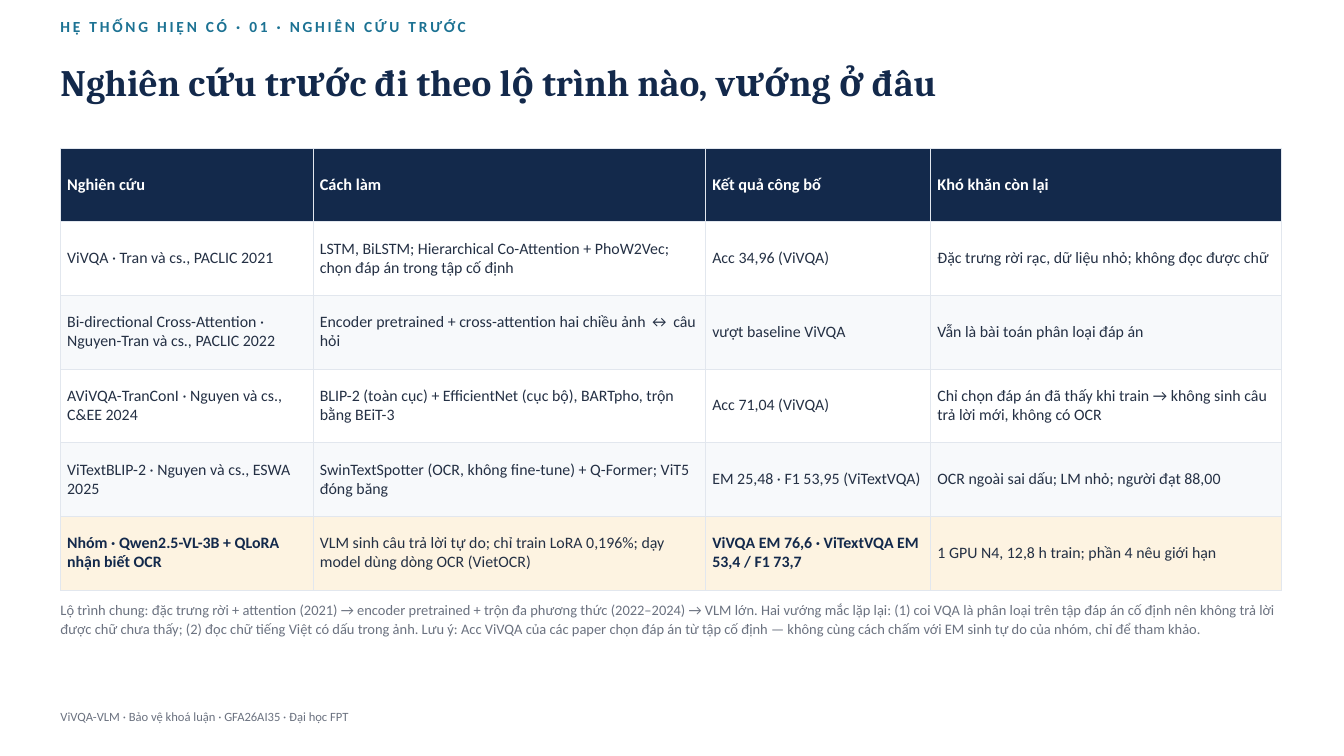
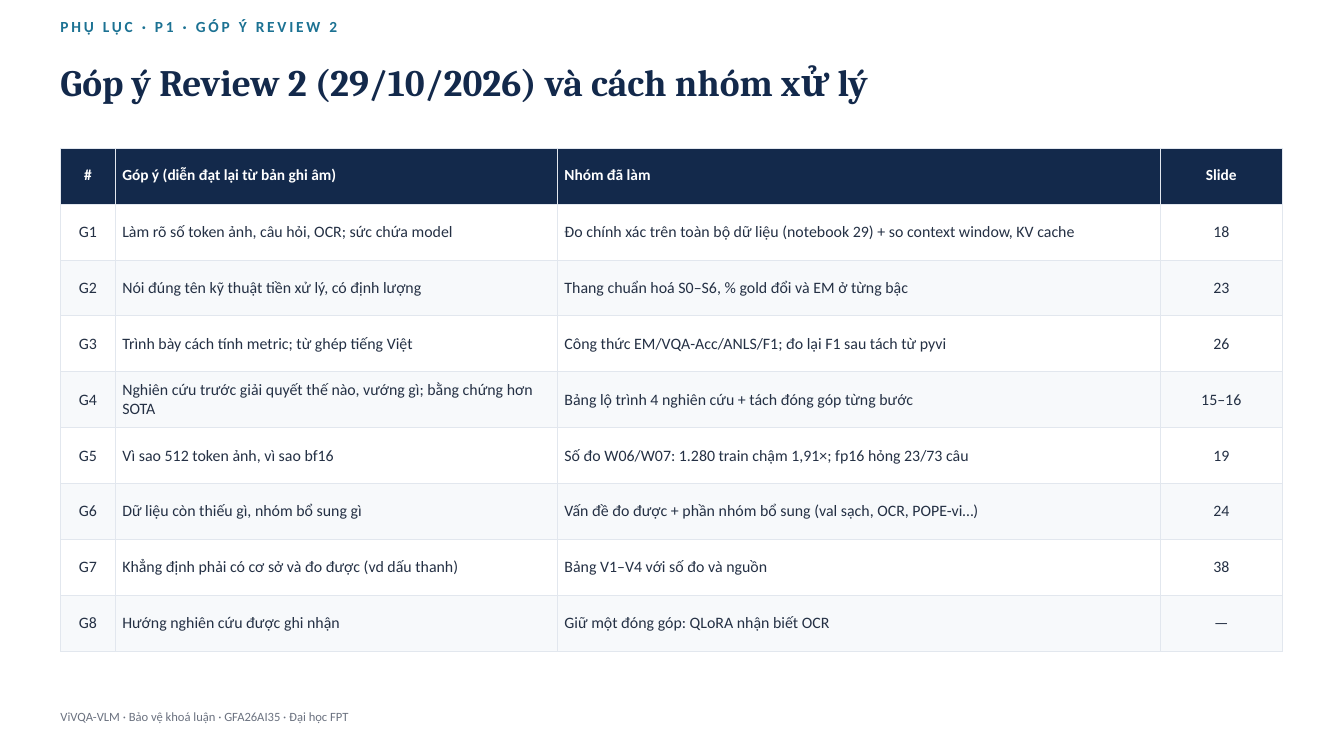
from dataclasses import dataclass

from lxml import etree
from pptx import Presentation
from pptx import util as u
from pptx.dml import color
from pptx.enum import text
from pptx.oxml import ns

# Shared look
COLORS = {
    "navy": "13294B",
    "teal": "1C7293",
    "ink": "243044",
    "muted": "6B7280",
    "white": "FFFFFF",
    "stripe": "F7F9FB",
    "highlight": "FDF3E1",
    "border": "E2E7EE",
}
BODY, SERIF = "Calibri", "Cambria"
LEFT, WIDTH = 0.9, 18.2
TABLE_TOP = 2.2
CELL_MARGIN = 0.1
FOOTER = "ViVQA-VLM · Bảo vệ khoá luận · GFA26AI35 · Đại học FPT"


@dataclass(frozen=True)
class Style:
    size: float
    color: str
    bold: bool = False
    face: str = BODY
    leading: float = 1.2  # line height as a multiple of the size
    tracking: float = 0


EYEBROW = Style(16.5, "teal", bold=True, tracking=3)
TITLE = Style(40, "navy", bold=True, face=SERIF, leading=1.44)
NOTE = Style(15.5, "muted", leading=1.34)
FOOT = Style(13.5, "muted", leading=1.34)
CELL = Style(17, "ink")
KEY_CELL = Style(17, "navy", bold=True)


@dataclass(frozen=True)
class Grid:
    columns: tuple[float, ...]
    height: float
    header_size: float
    rows: tuple[tuple[str, ...], ...]
    centered: tuple[int, ...] = ()
    highlight_last: bool = False
    key_columns: tuple[int, ...] = ()


@dataclass(frozen=True)
class Page:
    eyebrow: str
    title: str
    grid: Grid
    note: str = ""


# Content
PRIOR_WORK = Page(
    "HỆ THỐNG HIỆN CÓ · 01 · NGHIÊN CỨU TRƯỚC",
    "Nghiên cứu trước đi theo lộ trình nào, vướng ở đâu",
    Grid(
        columns=(3.76, 5.84, 3.35, 5.22),
        height=6.58,
        header_size=17.5,
        highlight_last=True,
        key_columns=(0, 2),
        rows=(
            ("Nghiên cứu", "Cách làm", "Kết quả công bố", "Khó khăn còn lại"),
            ("ViVQA · Tran và cs., PACLIC 2021",
             "LSTM, BiLSTM; Hierarchical Co-Attention + PhoW2Vec; chọn đáp án trong tập cố định",
             "Acc 34,96 (ViVQA)",
             "Đặc trưng rời rạc, dữ liệu nhỏ; không đọc được chữ"),
            ("Bi-directional Cross-Attention · Nguyen-Tran và cs., PACLIC 2022",
             "Encoder pretrained + cross-attention hai chiều ảnh ↔ câu hỏi",
             "vượt baseline ViVQA",
             "Vẫn là bài toán phân loại đáp án"),
            ("AViVQA-TranConI · Nguyen và cs., C&EE 2024",
             "BLIP-2 (toàn cục) + EfficientNet (cục bộ), BARTpho, trộn bằng BEiT-3",
             "Acc 71,04 (ViVQA)",
             "Chỉ chọn đáp án đã thấy khi train → không sinh câu trả lời mới, không có OCR"),
            ("ViTextBLIP-2 · Nguyen và cs., ESWA 2025",
             "SwinTextSpotter (OCR, không fine-tune) + Q-Former; ViT5 đóng băng",
             "EM 25,48 · F1 53,95 (ViTextVQA)",
             "OCR ngoài sai dấu; LM nhỏ; người đạt 88,00"),
            ("Nhóm · Qwen2.5-VL-3B + QLoRA nhận biết OCR",
             "VLM sinh câu trả lời tự do; chỉ train LoRA 0,196%; dạy model dùng dòng OCR (VietOCR)",
             "ViVQA EM 76,6 · ViTextVQA EM 53,4 / F1 73,7",
             "1 GPU N4, 12,8 h train; phần 4 nêu giới hạn"),
        ),
    ),
    note="Lộ trình chung: đặc trưng rời + attention (2021) → encoder pretrained + trộn đa "
         "phương thức (2022–2024) → VLM lớn. Hai vướng mắc lặp lại: (1) coi VQA là phân loại "
         "trên tập đáp án cố định nên không trả lời được chữ chưa thấy; (2) đọc chữ tiếng Việt "
         "có dấu trong ảnh. Lưu ý: Acc ViVQA của các paper chọn đáp án từ tập cố định — không "
         "cùng cách chấm với EM sinh tự do của nhóm, chỉ để tham khảo.",
)

REVIEW_FEEDBACK = Page(
    "PHỤ LỤC · P1 · GÓP Ý REVIEW 2",
    "Góp ý Review 2 (29/10/2026) và cách nhóm xử lý",
    Grid(
        columns=(0.82, 6.58, 8.97, 1.81),
        height=7.5,
        header_size=16.5,
        centered=(0, 3),
        rows=(
            ("#", "Góp ý (diễn đạt lại từ bản ghi âm)", "Nhóm đã làm", "Slide"),
            ("G1", "Làm rõ số token ảnh, câu hỏi, OCR; sức chứa model",
             "Đo chính xác trên toàn bộ dữ liệu (notebook 29) + so context window, KV cache", "18"),
            ("G2", "Nói đúng tên kỹ thuật tiền xử lý, có định lượng",
             "Thang chuẩn hoá S0–S6, % gold đổi và EM ở từng bậc", "23"),
            ("G3", "Trình bày cách tính metric; từ ghép tiếng Việt",
             "Công thức EM/VQA-Acc/ANLS/F1; đo lại F1 sau tách từ pyvi", "26"),
            ("G4", "Nghiên cứu trước giải quyết thế nào, vướng gì; bằng chứng hơn SOTA",
             "Bảng lộ trình 4 nghiên cứu + tách đóng góp từng bước", "15–16"),
            ("G5", "Vì sao 512 token ảnh, vì sao bf16",
             "Số đo W06/W07: 1.280 train chậm 1,91×; fp16 hỏng 23/73 câu", "19"),
            ("G6", "Dữ liệu còn thiếu gì, nhóm bổ sung gì",
             "Vấn đề đo được + phần nhóm bổ sung (val sạch, OCR, POPE-vi…)", "24"),
            ("G7", "Khẳng định phải có cơ sở và đo được (vd dấu thanh)",
             "Bảng V1–V4 với số đo và nguồn", "38"),
            ("G8", "Hướng nghiên cứu được ghi nhận",
             "Giữ một đóng góp: QLoRA nhận biết OCR", "—"),
        ),
    ),
)


# Drawing helpers
def rgb(name: str) -> color.RGBColor:
    return color.RGBColor.from_string(COLORS[name])


def write(frame, words: str, style: Style, centered: bool = False) -> None:
    """Put one styled paragraph into a text frame."""
    line = frame.paragraphs[0]
    line.text = words
    line.alignment = text.PP_ALIGN.CENTER if centered else text.PP_ALIGN.LEFT
    line.line_spacing = u.Pt(style.size * style.leading)
    line.space_before = u.Pt(0)
    font = line.font
    font.name, font.size, font.bold = style.face, u.Pt(style.size), style.bold
    font.color.rgb = rgb(style.color)
    if style.tracking:
        defaults = line._p.get_or_add_pPr().get_or_add_defRPr()
        defaults.set("spc", str(round(style.tracking * 100)))


def fill_box(box, words: str, style: Style, top: float, width: float, height: float) -> None:
    """Place a text shape on the left margin, without insets, and write in it."""
    box.left, box.top = u.Inches(LEFT), u.Inches(top)
    box.width, box.height = u.Inches(width), u.Inches(height)
    frame = box.text_frame
    frame.margin_left = frame.margin_top = frame.margin_right = frame.margin_bottom = 0
    frame.word_wrap = True
    frame.vertical_anchor = text.MSO_ANCHOR.TOP
    frame.auto_size = text.MSO_AUTO_SIZE.SHAPE_TO_FIT_TEXT
    write(frame, words, style)


def add_line(slide, words: str, style: Style, top: float, width: float, height: float) -> None:
    fill_box(slide.shapes.add_textbox(0, 0, 0, 0), words, style, top, width, height)


def add_borders(cell) -> None:
    properties = cell._tc.get_or_add_tcPr()
    for side in ("a:lnL", "a:lnR", "a:lnT", "a:lnB"):
        edge = etree.SubElement(properties, ns.qn(side), w=str(u.Pt(0.75)))
        solid = etree.SubElement(edge, ns.qn("a:solidFill"))
        etree.SubElement(solid, ns.qn("a:srgbClr"), val=COLORS["border"])


def cell_look(grid: Grid, row: int, column: int) -> tuple[str, Style]:
    """Return the fill and the text style of a cell."""
    if row == 0:
        return "navy", Style(grid.header_size, "white", bold=True)
    if grid.highlight_last and row == len(grid.rows) - 1:
        return "highlight", KEY_CELL if column in grid.key_columns else CELL
    return ("white" if row % 2 else "stripe"), CELL


def add_grid(slide, grid: Grid) -> None:
    table = slide.shapes.add_table(
        len(grid.rows), len(grid.columns), u.Inches(LEFT), u.Inches(TABLE_TOP),
        u.Inches(sum(grid.columns)), u.Inches(grid.height)).table
    table.first_row = table.horz_banding = False
    for column, width in zip(table.columns, grid.columns):
        column.width = u.Inches(width)
    for r, row in enumerate(grid.rows):
        for c, words in enumerate(row):
            cell = table.cell(r, c)
            fill, style = cell_look(grid, r, c)
            add_borders(cell)
            cell.fill.solid()
            cell.fill.fore_color.rgb = rgb(fill)
            cell.vertical_anchor = text.MSO_ANCHOR.MIDDLE
            cell.margin_left = cell.margin_right = u.Inches(CELL_MARGIN)
            cell.margin_top = cell.margin_bottom = u.Inches(CELL_MARGIN)
            write(cell.text_frame, words, style, c in grid.centered)


def add_page(deck, page: Page) -> None:
    slide = deck.slides.add_slide(deck.slide_layouts.get_by_name("Title Only"))
    add_line(slide, page.eyebrow, EYEBROW, 0.26, WIDTH, 0.67)
    fill_box(slide.shapes.title, page.title, TITLE, 0.75, WIDTH, 1.23)
    add_grid(slide, page.grid)
    if page.note:
        add_line(slide, page.note, NOTE, 8.91, WIDTH, 1.24)
    add_line(slide, FOOTER, FOOT, 10.53, 15, 0.45)


def main() -> None:
    deck = Presentation()
    deck.slide_width, deck.slide_height = u.Inches(20), u.Inches(11.25)
    for page in (PRIOR_WORK, REVIEW_FEEDBACK):
        add_page(deck, page)
    deck.save("out.pptx")


if __name__ == "__main__":
    main()
